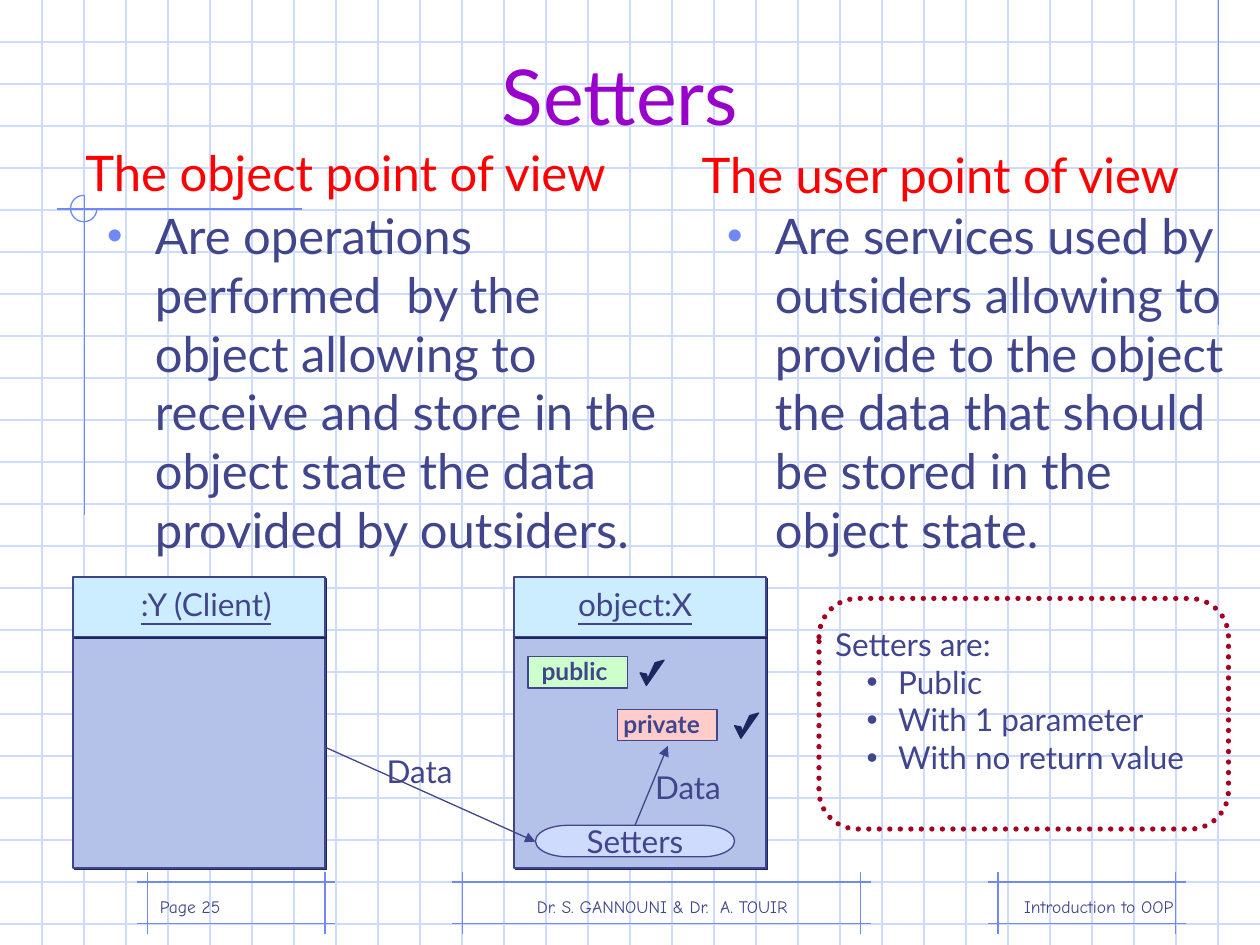
from lxml import etree
from pptx import Presentation
from pptx.dml.color import RGBColor
from pptx.enum.dml import MSO_LINE
from pptx.enum.shapes import MSO_CONNECTOR, MSO_SHAPE
from pptx.enum.text import MSO_ANCHOR, MSO_AUTO_SIZE, PP_ALIGN
from pptx.oxml.ns import qn
from pptx.util import Inches, Pt

STRAIGHT = MSO_CONNECTOR.STRAIGHT
RECT, ROUND_RECT = MSO_SHAPE.RECTANGLE, MSO_SHAPE.ROUNDED_RECTANGLE
ARC, TERMINATOR = MSO_SHAPE.ARC, MSO_SHAPE.FLOWCHART_TERMINATOR
DOTTED = MSO_LINE.ROUND_DOT
TOP, MIDDLE, BOTTOM = MSO_ANCHOR.TOP, MSO_ANCHOR.MIDDLE, MSO_ANCHOR.BOTTOM
LEFT, CENTER, RIGHT = PP_ALIGN.LEFT, PP_ALIGN.CENTER, PP_ALIGN.RIGHT
NO_FIT = MSO_AUTO_SIZE.NONE

INK, NAVY, GRID, RULE = "40458C", "1B285F", "CFDBFD", "6F89F7"
CHECK = [(0, 10), (5, 11), (6, 15), (12, 2), (19, 0), (5, 20)]  # 1/100 inch


def rgb(color):
    return RGBColor.from_string(color)


def inches(*values):
    return [Inches(v) for v in values]


def add_xml(parent, tag, **attrs):
    return etree.SubElement(parent, qn(tag), attrs)


def add_line(s, x1, y1, x2, y2, color=INK, arrow=False):
    c = s.shapes.add_connector(STRAIGHT, *inches(x1, y1, x2, y2))
    c.line.color.rgb = rgb(color)
    c.line.width = Pt(0.75)
    props = c.element.spPr
    if arrow:
        add_xml(props.find(qn("a:ln")), "a:tailEnd", type="triangle")
    add_xml(props, "a:effectLst")


def style(sp, fill=None, line=INK, width=0.75):
    sp.shadow.inherit = False
    if fill:
        sp.fill.solid()
        sp.fill.fore_color.rgb = rgb(fill)
    else:
        sp.fill.background()
    sp.line.color.rgb = rgb(line)
    sp.line.width = Pt(width)


def add_shape(s, kind, box, fill=None, **line_format):
    sp = s.shapes.add_shape(kind, *inches(*box))
    style(sp, fill, **line_format)
    return sp


def add_hard_shadow(sp):
    effects = sp.element.spPr.find(qn("a:effectLst"))
    shadow = add_xml(effects, "a:outerShdw", blurRad="0", dist=str(Pt(1.4)),
                     dir="2700000", algn="ctr", rotWithShape="0")
    add_xml(shadow, "a:srgbClr", val=NAVY)


def set_bullet(p, indent, hanging, color, percent=100):
    props = p._p.get_or_add_pPr()
    props.set("marL", str(Inches(indent)))
    props.set("indent", str(-Inches(hanging)))
    add_xml(add_xml(props, "a:buClr"), "a:srgbClr", val=color)
    add_xml(props, "a:buSzPct", val=str(percent * 1000))
    add_xml(props, "a:buFont", typeface="Arial")
    add_xml(props, "a:buChar", char="•")


def write(p, text, size=18, color=INK, align=LEFT, **font):
    p.alignment = align
    p.space_before = Pt(0)
    r = p.add_run()
    r.text = text
    r.font.color.rgb = rgb(color)
    for name, value in {"name": "Lato", "size": Pt(size), **font}.items():
        setattr(r.font, name, value)


def add_label(s, text, box, anchor=TOP, **text_format):
    tf = s.shapes.add_textbox(*inches(*box)).text_frame
    tf.word_wrap = True
    tf.vertical_anchor = anchor
    write(tf.paragraphs[0], text, **text_format)
    return tf


def fill_placeholder(s, ph, box, anchor, text, bullet=None, **text_format):
    """Bring a placeholder in front of the grid, place it and write its text."""
    s.shapes._spTree.append(ph.element)
    ph.left, ph.top, ph.width, ph.height = inches(*box)
    tf = ph.text_frame
    tf.auto_size = NO_FIT
    tf.vertical_anchor = anchor
    if bullet:
        set_bullet(tf.paragraphs[0], *bullet)
    write(tf.paragraphs[0], text, **text_format)


def add_background(s, width, height):
    for i in range(1, 23):
        add_line(s, 0, i / 3, width, i / 3, GRID)
    for i in range(1, 30):
        add_line(s, i / 3, 0, i / 3, height, GRID)
    add_line(s, 9.67, 0, 9.67, 2.58, RULE)
    add_line(s, 2.4, 1.66, 0.45, 1.66, RULE)
    add_line(s, 0.67, 1.55, 0.67, 4.09, RULE)
    arc = add_shape(s, ARC, (0.56, 1.55, 0.21, 0.21), line=RULE)
    arc.adjustments[0], arc.adjustments[1] = 0, 162  # 0 to 270 degrees


def add_footer(s, frame, text, box, align):
    left, top, right, bottom = frame
    over = 0.08
    for y in (top, bottom):
        add_line(s, left - over, y, right + over, y, RULE)
    for x in (left, right):
        add_line(s, x, top - over, x, bottom + over, RULE)
    add_label(s, text, box, BOTTOM, size=10, align=align, name="Comic Neue")


def add_object_card(s, x, y, name, name_dx, name_width):
    for dy, height, fill in ((0.39, 1.92, "B4C2EA"), (0, 0.47, "CCECFF")):
        add_hard_shadow(add_shape(s, RECT, (x, y + dy, 2, height), fill))
    add_label(s, name, (x + name_dx, y + 0.01, name_width, 0.4), underline=True)


def add_access_tag(s, x, y, text, fill, text_dx, check_dx):
    add_shape(s, RECT, (x, y, 0.79, 0.25), fill)
    add_label(s, text, (x + text_dx, y - 0.05, 0.9, 0.34), size=14, bold=True)
    fb = s.shapes.build_freeform(*CHECK[0], scale=Inches(0.01))
    fb.add_line_segments(CHECK[1:], close=True)
    style(fb.convert_to_shape(*inches(x + check_dx, y + 0.03)), NAVY, line=NAVY)


def add_diagram(s):
    add_object_card(s, 4.08, 4.58, "object:X", 0.41, 1.13)
    add_access_tag(s, 4.19, 5.21, "public", "CCFFCC", 0.01, 0.89)
    add_access_tag(s, 4.9, 5.63, "private", "FFCCCC", -0.05, 0.93)
    add_line(s, 5.04, 6.55, 5.3, 5.92, arrow=True)
    tf = add_shape(s, TERMINATOR, (4.25, 6.55, 1.58, 0.25), GRID).text_frame
    tf.word_wrap = False
    tf.vertical_anchor = MIDDLE
    write(tf.paragraphs[0], "Setters", align=CENTER)
    add_object_card(s, 0.58, 4.58, ":Y (Client)", 0.44, 1.29)
    add_line(s, 2.58, 5.93, 4.25, 6.68, arrow=True)
    for x, y in ((2.97, 5.92), (5.1, 6.05)):
        add_label(s, "Data", (x, y, 0.75, 0.4))


def add_summary(s, x, y, width, height):
    tf = add_label(s, "Setters are:", (x + 0.03, y + 0.16, width - 0.04, 1.6))
    for text in ("Public", "With 1 parameter", "With no return value"):
        p = tf.add_paragraph()
        p.level = 1
        set_bullet(p, 0.5, 0.25, INK)
        write(p, text)
    frame = add_shape(s, ROUND_RECT, (x, y, width, height), line="A50021", width=3)
    frame.line.dash_style = DOTTED
    frame.element.spPr.find(qn("a:ln")).set("cap", "rnd")


def main():
    prs = Presentation()
    prs.slide_width, prs.slide_height = inches(10, 7.5)
    s = prs.slides.add_slide(prs.slide_layouts[3])
    title, left_body, right_body = list(s.placeholders)
    add_background(s, 10, 7.5)
    for left, right, text, x, width, align in (
            (7.92, 9.33, "Introduction to OOP", 7.33, 2.08, RIGHT),
            (3.67, 6.83, "Dr. S. GANNOUNI & Dr.  A. TOUIR", 3.67, 3.17, CENTER),
            (1.17, 2.58, "Page 25", 1.17, 2.08, LEFT)):
        add_footer(s, (left, 7, right, 7.33), text, (x, 6.83, width, 0.5), align)
    fill_placeholder(s, title, (0.67, 0.25, 8.5, 0.92), BOTTOM, "Setters",
                     size=44, color="9900CC", align=CENTER)
    for ph, x, width, text in (
            (left_body, 0.75, 4.75,
             "Are operations performed  by the object allowing to receive and "
             "store in the object state the data provided by outsiders."),
            (right_body, 5.67, 4.33,
             "Are services used by outsiders allowing to provide to the object "
             "the data that should be stored in the object state.")):
        fill_placeholder(s, ph, (x, 1.58, width, 4.5), TOP, text,
                         bullet=(0.38, 0.38, RULE, 90), size=28)
    for text, box in (("The object point of view", (0.58, 1.08, 4.54, 0.57)),
                      ("The user point of view", (5.47, 1.1, 4.23, 0.57))):
        add_label(s, text, box, size=28, color="FF0000")
    add_diagram(s)
    add_summary(s, 6.5, 4.75, 3.25, 1.83)
    prs.save("out.pptx")


if __name__ == "__main__":
    main()
